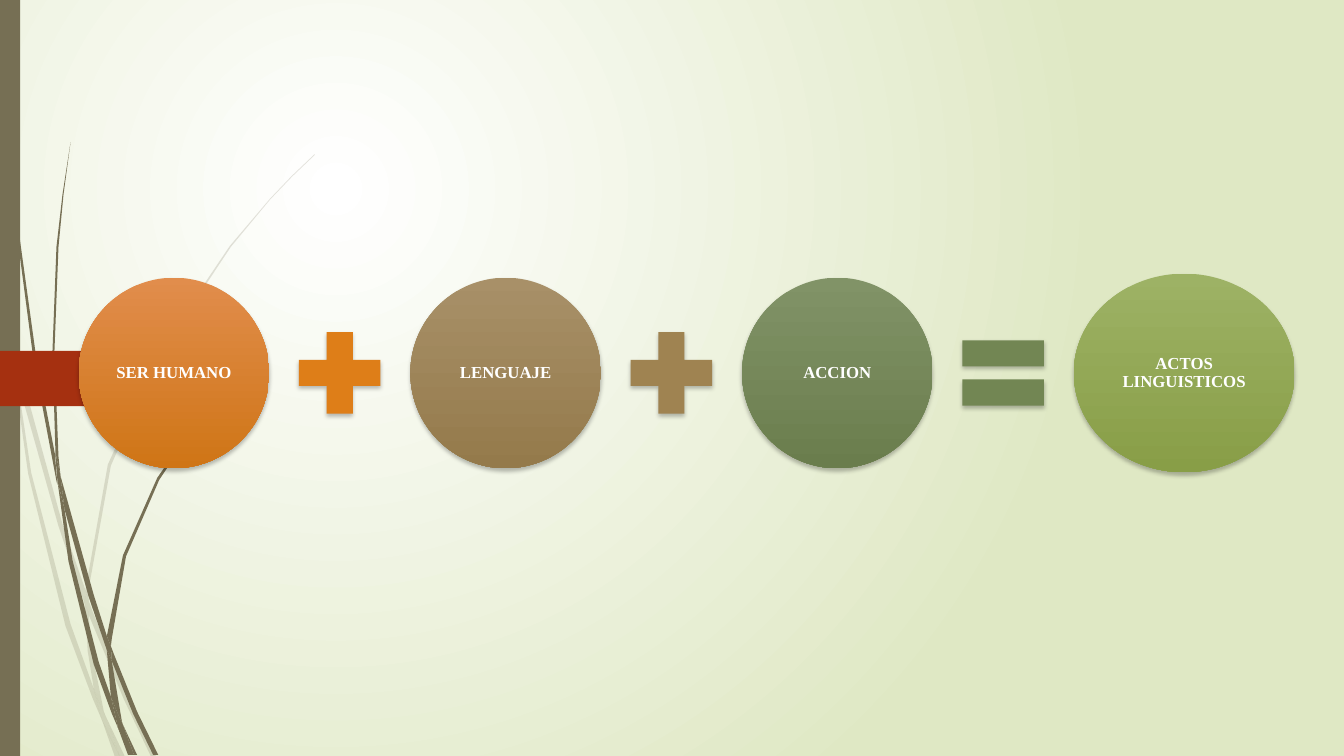
from lxml.etree import SubElement as Sub
from pptx import Presentation
from pptx.dml.color import RGBColor as Rgb
from pptx.enum.shapes import MSO_SHAPE as Form
from pptx.enum.text import MSO_ANCHOR as Anchor, PP_ALIGN as Align
from pptx.oxml.ns import qn
from pptx.util import Inches, Pt

ROWS, COLS = 7.5, 13.33
MID, STEP, LEFT = 3.7, 3.29, 0.78
HUES = {
    "white": "FFFFFF", "mist": "DFE8C4", "stem": "766F54", "tab": "A53010",
    "shade": "000000", "plus1": "DE7E18", "plus2": "9F8351", "equal": "728653",
}
TERMS = [
    ("SER HUMANO", 1.89, 1.89, "E18D4C", "CF7516"),
    ("LENGUAJE", 1.89, 1.89, "A89068", "947A4B"),
    ("ACCION", 1.89, 1.89, "819367", "6A7D4D"),
    ("ACTOS LINGUISTICOS", 2.19, 1.97, "9DB265", "889E47"),
]
SIGNS = [(Form.MATH_PLUS, "plus1"), (Form.MATH_PLUS, "plus2"), (Form.MATH_EQUAL, "equal")]
PALE = [
    "0.11 3.5 0.09 3.22 0 2.82 0 2.99 0.1 3.44",
    "0.58 5.22 0.84 5.99 0.85 5.86 0.62 5.2 0.14 3.45 0.17 3.76",
    "0.92 6.07 0.88 5.96 0.88 6.1 1.23 6.94 1.5 7.51 1.55 7.51 1.27 6.92",
    "1.19 7.51 1.24 7.51 1.05 7.11",
    "0.93 6.83 0.7 6.19 0.31 4.69 0.17 3.76 0.11 3.5 0.28 4.7 0.65 6.21 0.92 6.93 1.01 7.14 0.99 7.07",
    "0.84 5.99 0.87 6.46 0.93 6.83 0.96 6.92 1.05 7.11 1.03 7.06 0.91 6.46 0.88 6.1 0.88 6.08",
    "0.88 5.84 1.1 4.62 1.6 3.49 2.29 2.45 2.68 1.98 2.9 1.75 3.12 1.54 3.12 1.53 "
    "2.89 1.75 2.68 1.97 2.28 2.44 1.58 3.48 1.07 4.61 0.85 5.84 0.85 5.86 0.88 5.96",
    "1.01 7.14 1.14 7.51 1.19 7.51",
    "0.88 6.08 0.88 6.1 0.88 5.96 0.85 5.86 0.84 5.99",
    "0.96 6.92 0.93 6.83 0.99 7.07 1.01 7.14 1.19 7.51 1.05 7.11",
]
DARK = [
    "0.07 1.1 0.17 2.33 0.33 3.55 0.56 4.77 0.57 4.81 0.55 4.57 0.55 4.53 "
    "0.36 3.55 0.19 2.32 0.08 1.09 0.05 0.48 0.04 0 0.03 0 0.04 0.48",
    "0.88 5.92 1.06 6.45 1.06 6.31 0.93 5.9 0.6 4.72 0.64 5.05",
    "1.13 6.49 1.1 6.41 1.11 6.56 1.32 7.08 1.52 7.49 1.57 7.49 1.36 7.06",
    "1.1 6.91 0.98 6.57 0.72 5.56 0.64 5.05 0.57 4.77 0.68 5.57 0.93 6.59 1.11 7.08 1.17 7.22 1.16 7.17",
    "0.6 4.72 0.58 4.53 0.54 3.49 0.58 2.45 0.63 1.93 0.7 1.41 0.62 1.93 0.56 2.45 0.52 3.49 0.55 4.49",
    "1.33 7.49 1.36 7.49 1.22 7.19",
    "0.57 4.77 0.64 5.05 0.6 4.72 0.55 4.49 0.55 4.53",
    "1.11 6.33 1.25 5.52 1.58 4.76 2.05 4.06 2.31 3.74 2.45 3.59 2.61 3.44 2.6 3.44 "
    "2.45 3.58 2.31 3.73 2.04 4.05 1.56 4.74 1.22 5.51 1.06 6.31 1.1 6.41",
    "1.17 7.22 1.27 7.49 1.31 7.49",
    "1.06 6.45 1.1 6.91 1.16 7.06 1.22 7.19 1.21 7.16 1.11 6.56 1.09 6.51",
    "1.06 6.45 1.09 6.51 1.11 6.56 1.1 6.41 1.06 6.31",
    "1.16 7.06 1.1 6.91 1.16 7.17 1.17 7.22 1.3 7.49 1.33 7.49 1.22 7.19",
]


class Board:
    font = {"name": "Times New Roman", "size": Pt(12), "bold": True}
    para = {"alignment": Align.CENTER, "line_spacing": 0.9}
    frame = {"word_wrap": True, "vertical_anchor": Anchor.MIDDLE}
    frame.update({"margin_" + side: Inches(0.02) for side in ("left", "top", "right", "bottom")})

    def __init__(self, deck):
        self.unit = deck.slide_height / ROWS
        self.slide = deck.slides.add_slide(deck.slide_layouts[6])
        self.shapes = self.slide.shapes

    def cell(self, *spans):
        return [round(span * self.unit) for span in spans]

    def put(self, item, values):
        for name, value in values.items():
            setattr(item, name, value)

    def blend(self, fill, *tones):
        fill.gradient()
        for spot, (stop, tone) in enumerate(zip(fill.gradient_stops, tones)):
            stop.position = spot
            stop.color.rgb = Rgb.from_string(tone)

    def glow(self, *tones):
        self.blend(self.slide.background.fill, *tones)
        grad = next(self.slide.element.iter(qn("a:gradFill")))
        grad.remove(grad.find(qn("a:lin")))
        ring = Sub(grad, qn("a:path"), {"path": "circle"})
        Sub(ring, qn("a:fillToRect"), {"l": "50000", "t": "50000", "r": "100000", "b": "100000"})

    def paint(self, item, tone, alpha=None):
        item.shadow.inherit = False
        item.line.fill.background()
        item.fill.solid()
        item.fill.fore_color.rgb = Rgb.from_string(tone)
        if alpha:
            hue = next(item.element.spPr.iter(qn("a:srgbClr")))
            Sub(hue, qn("a:alpha"), {"val": str(alpha * 1000)})

    def form(self, kind, x, y, w, h, tone):
        item = self.shapes.add_shape(kind, *self.cell(x, y, w, h))
        self.paint(item, tone)
        return item

    def blade(self, text, tone, alpha=None):
        nums = self.cell(*map(float, text.split()))
        dots = list(zip(nums[::2], nums[1::2]))
        pen = self.shapes.build_freeform(*dots[0])
        pen.add_line_segments(dots[1:], close=True)
        self.paint(pen.convert_to_shape(), tone, alpha)

    def shade(self, item):
        drop = Sub(item.element.spPr.find(qn("a:effectLst")), qn("a:outerShdw"), {
            "blurRad": str(Pt(3)), "dist": str(Pt(2)), "dir": "5400000", "rotWithShape": "0"})
        hue = Sub(drop, qn("a:srgbClr"), {"val": HUES["shade"]})
        Sub(hue, qn("a:alpha"), {"val": "25000"})

    def sign(self, kind, x, size, tone):
        self.shade(self.form(kind, x, MID - size / 2, size, size, tone))

    def term(self, text, x, w, h, *tones):
        disc = self.form(Form.OVAL, x, MID - h / 2, w, h, tones[0])
        self.blend(disc.fill, *tones)
        disc.fill.gradient_angle = 270
        self.shade(disc)
        self.put(disc.text_frame, self.frame)
        para = disc.text_frame.paragraphs[0]
        self.put(para, self.para)
        run = para.add_run()
        run.text = text
        self.put(run.font, self.font)
        run.font.color.rgb = Rgb.from_string(HUES["white"])


def main():
    deck = Presentation()
    deck.slide_width, deck.slide_height = Inches(COLS), Inches(ROWS)
    board = Board(deck)
    board.glow(HUES["white"], HUES["mist"])
    for text in PALE:
        board.blade(text, HUES["stem"], 20)
    for text in DARK:
        board.blade(text, HUES["stem"])
    board.form(Form.RECTANGLE, 0, 0, 0.2, ROWS, HUES["stem"])
    board.form(Form.PENTAGON, 0, 3.48, 1.74, 0.55, HUES["tab"])
    for i, (text, w, h, *tones) in enumerate(TERMS):
        board.term(text, LEFT + i * STEP, w, h, *tones)
    for i, (kind, hue) in enumerate(SIGNS):
        board.sign(kind, LEFT + 2.04 + i * STEP, 1.1, HUES[hue])
    deck.save("out.pptx")


if __name__ == "__main__":
    main()
